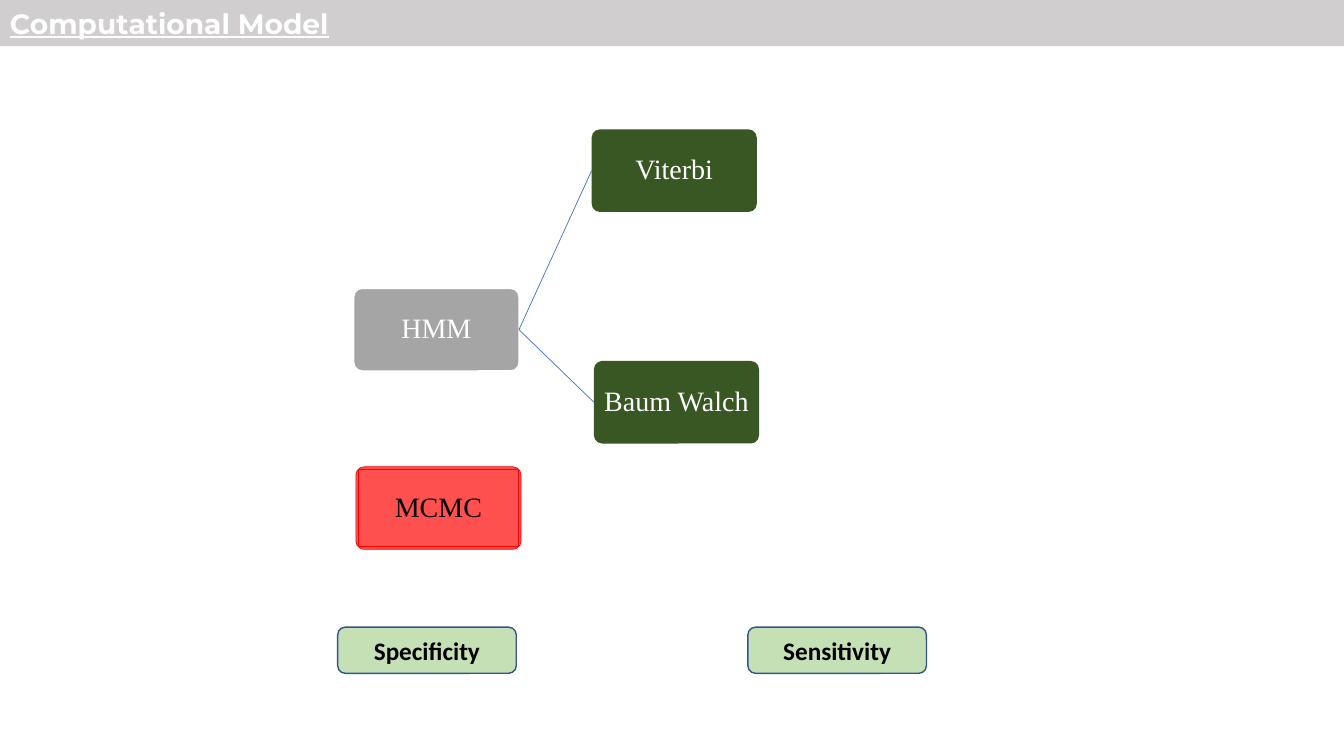
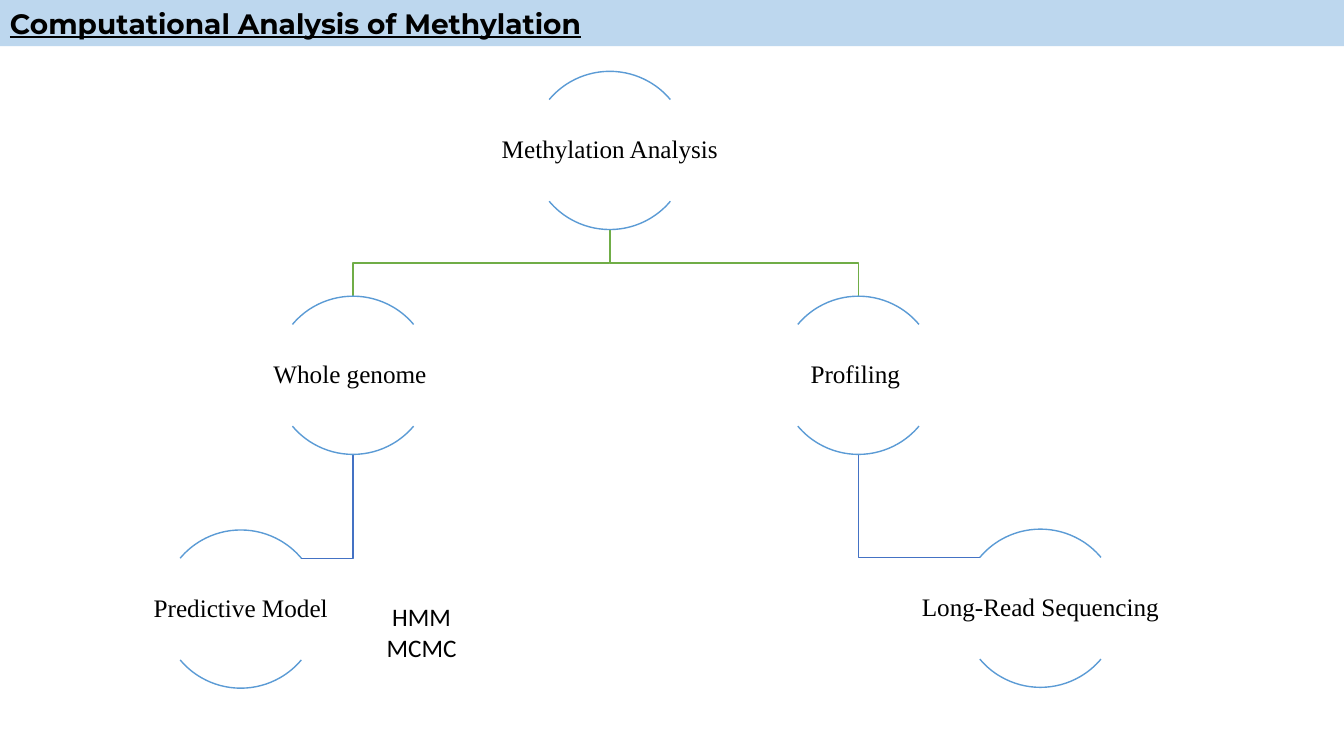
from dataclasses import dataclass
from math import cos, radians, sin

from lxml.etree import SubElement
from pptx import Presentation
from pptx.dml.color import RGBColor
from pptx.enum.shapes import MSO_CONNECTOR, MSO_SHAPE
from pptx.enum.text import MSO_ANCHOR, PP_ALIGN
from pptx.oxml.ns import qn
from pptx.util import Pt


@dataclass(frozen=True)
class Theme:
    """Hold the colours, fonts and type sizes of the deck."""
    white: str = "FFFFFF"
    black: str = "000000"
    silver: str = "D0CECE"
    sky: str = "BDD7EE"
    grey: str = "A5A5A5"
    forest: str = "385723"
    coral: str = "FF5050"
    red: str = "FF0000"
    mint: str = "C5E0B4"
    navy: str = "325491"
    blue: str = "4472C4"
    azure: str = "5B9BD5"
    green: str = "70AD47"
    head: str = "Montserrat"
    serif: str = "Times New Roman"
    sans: str = "Calibri"
    large: int = 20
    small: int = 18


LOOK = Theme()
WIDE, HIGH = 960, 540
CARD = (118, 59)
RING = 113
ANGLE = 40
TIGHT = {f"margin_{side}": Pt(1) for side in ("left", "right", "top", "bottom")}
TITLE = {"name": LOOK.head, "size": Pt(LOOK.large), "bold": True, "underline": True}
TERM = {"name": LOOK.serif, "size": Pt(LOOK.large)}
TOPIC = {"name": LOOK.serif, "size": Pt(LOOK.small)}
NOTE = {"name": LOOK.sans, "size": Pt(LOOK.small)}
METRIC = {**NOTE, "bold": True}


def apply(thing, values):
    """Set each attribute named in a dict."""
    for name, value in values.items():
        setattr(thing, name, value)


def write(shape, lines, font, ink, align=PP_ALIGN.CENTER, frame=None, lead=None):
    """Fill a shape with styled lines of text."""
    text = shape.text_frame
    apply(text, {"word_wrap": True, "vertical_anchor": MSO_ANCHOR.MIDDLE, **(frame or {})})
    text.text = "\n".join(lines)
    for para in text.paragraphs:
        apply(para, {"alignment": align, "line_spacing": lead})
        apply(para.font, font)
        para.font.color.rgb = RGBColor.from_string(ink)


def stroke(shape, ink, width):
    """Give a shape an outline, or none when no colour is named."""
    if ink:
        shape.line.color.rgb = RGBColor.from_string(ink)
        shape.line.width = Pt(width)
    else:
        shape.line.fill.background()


def block(slide, kind, box, fill=None, ink=None, width=1, adjust=()):
    """Draw a preset shape with flat fill and outline."""
    shape = slide.shapes.add_shape(kind, *map(Pt, box))
    shape.shadow.inherit = False
    for index, value in enumerate(adjust):
        shape.adjustments[index] = value
    if fill:
        shape.fill.solid()
        shape.fill.fore_color.rgb = RGBColor.from_string(fill)
    else:
        shape.fill.background()
    stroke(shape, ink, width)
    return shape


def label(slide, box, lines, font, **style):
    """Place a plain text box."""
    shape = slide.shapes.add_textbox(*map(Pt, box))
    write(shape, lines, font, LOOK.black, **style)


def banner(deck, title, fill, ink):
    """Add a blank slide with its title band."""
    slide = deck.slides.add_slide(deck.slide_layouts[6])
    band = block(slide, MSO_SHAPE.RECTANGLE, (0, 0, WIDE, 33), fill)
    write(band, [title], TITLE, ink, PP_ALIGN.LEFT)
    return slide


def card(slide, left, top, name, fill, ink, edge=None, width=1):
    """Draw a named model box."""
    shape = block(slide, MSO_SHAPE.ROUNDED_RECTANGLE, (left, top, *CARD),
                  fill, edge, width, [0.1])
    write(shape, [name], TERM, ink, frame=TIGHT, lead=0.9)
    return shape


def join(slide, start, end):
    """Link the right side of one card to the left side of another."""
    link = slide.shapes.add_connector(MSO_CONNECTOR.STRAIGHT, 0, 0, 0, 0)
    link.begin_connect(start, 3)
    link.end_connect(end, 1)
    stroke(link, LOOK.blue, 0.5)
    SubElement(link.element.spPr, qn("a:effectLst"))


def route(slide, points, ink):
    """Draw an open bent line through points."""
    first, *rest = [(Pt(x), Pt(y)) for x, y in points]
    pen = slide.shapes.build_freeform(*first)
    pen.add_line_segments(rest, close=False)
    shape = pen.convert_to_shape()
    shape.shadow.inherit = False
    shape.fill.background()
    stroke(shape, ink, 1)


def fork(slide, start, end):
    """Branch from the foot of a node to the top of its child."""
    (left, top), (right, low) = start, end
    foot = top + RING
    mid = (foot + low) / 2
    route(slide, [(left, foot), (left, mid), (right, mid), (right, low)], LOOK.green)


def hang(slide, start, end):
    """Drop from a node to the near tip of its child's upper arc."""
    (left, top), (right, low) = start, end
    side = 1 if left > right else -1
    reach = RING / 2 * cos(radians(ANGLE))
    tip = low + RING / 2 * (1 - sin(radians(ANGLE)))
    route(slide, [(left, top + RING), (left, tip), (right + side * reach, tip)], LOOK.blue)


def node(slide, spot, name):
    """Draw a topic between an upper and a lower arc."""
    mid, top = spot
    for turn in (180, 0):
        span = [(turn + ANGLE) * 0.6, (turn + 180 - ANGLE) * 0.6]
        block(slide, MSO_SHAPE.ARC, (mid - RING / 2, top, RING, RING),
              ink=LOOK.azure, adjust=span)
    wide, high = RING * 2, 73
    box = (mid - wide / 2, top + (RING - high) / 2, wide, high)
    label(slide, box, [name], TOPIC, frame=TIGHT, lead=0.9)


def model(deck):
    """Build the slide on computational models."""
    slide = banner(deck, "Computational Model", LOOK.silver, LOOK.white)
    root = card(slide, 252.7, 206, "HMM", LOOK.grey, LOOK.white, LOOK.white)
    left, top = 254.2, 333.4
    card(slide, left, top, "", LOOK.coral, LOOK.black, LOOK.red, 0.5)
    inset = 1.8
    inner = (left + inset, top + inset, CARD[0] - 2 * inset, CARD[1] - 2 * inset)
    core = block(slide, MSO_SHAPE.RECTANGLE, inner, LOOK.coral, LOOK.red, 0.5)
    write(core, ["MCMC"], TERM, LOOK.black, frame=TIGHT, lead=0.9)
    for x, y, name in ((422.6, 92.4, "Viterbi"), (424.2, 257.8, "Baum Walch")):
        join(slide, root, card(slide, x, y, name, LOOK.forest, LOOK.white))
    for x, name in ((241.2, "Specificity"), (534.2, "Sensitivity")):
        pill = block(slide, MSO_SHAPE.ROUNDED_RECTANGLE, (x, 448, 127.6, 33),
                     LOOK.mint, LOOK.navy)
        write(pill, [name], METRIC, LOOK.black)


def survey(deck):
    """Build the slide on methylation analysis."""
    slide = banner(deck, "Computational Analysis of Methylation", LOOK.sky, LOOK.black)
    root, whole, trace = (435.6, 51), (252.2, 211.6), (613.2, 211.6)
    guess, reads = (172, 378.6), (743.2, 378)
    hang(slide, trace, reads)
    fork(slide, root, trace)
    hang(slide, whole, guess)
    fork(slide, root, whole)
    topics = {"Methylation Analysis": root, "Whole genome ": whole,
              "Predictive Model": guess, "Profiling ": trace,
              "Long-Read Sequencing": reads}
    for name, spot in topics.items():
        node(slide, spot, name)
    label(slide, (268.6, 426.2, 65, 51), ["HMM", "MCMC"], NOTE,
          frame={"word_wrap": False, "vertical_anchor": MSO_ANCHOR.TOP})


def main():
    """Build and save the deck."""
    deck = Presentation()
    apply(deck, {"slide_width": Pt(WIDE), "slide_height": Pt(HIGH)})
    model(deck)
    survey(deck)
    deck.save("out.pptx")


if __name__ == "__main__":
    main()
